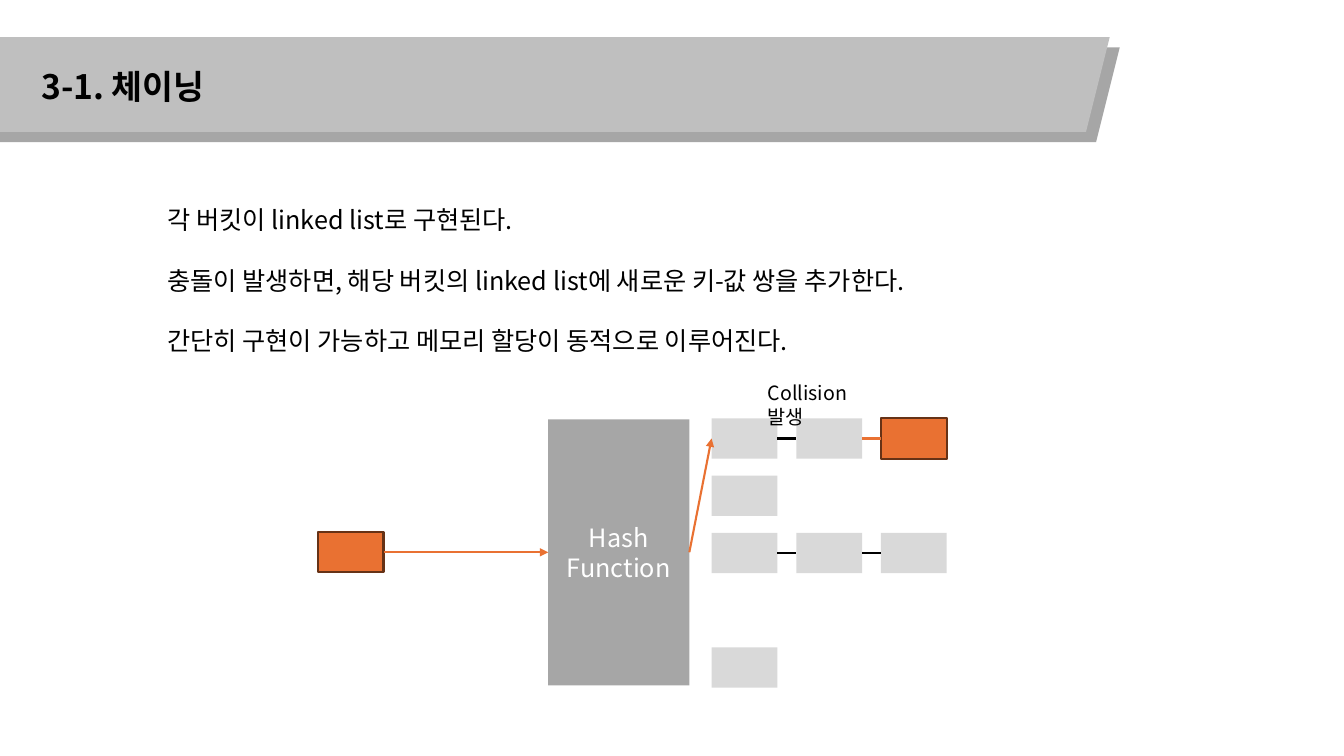
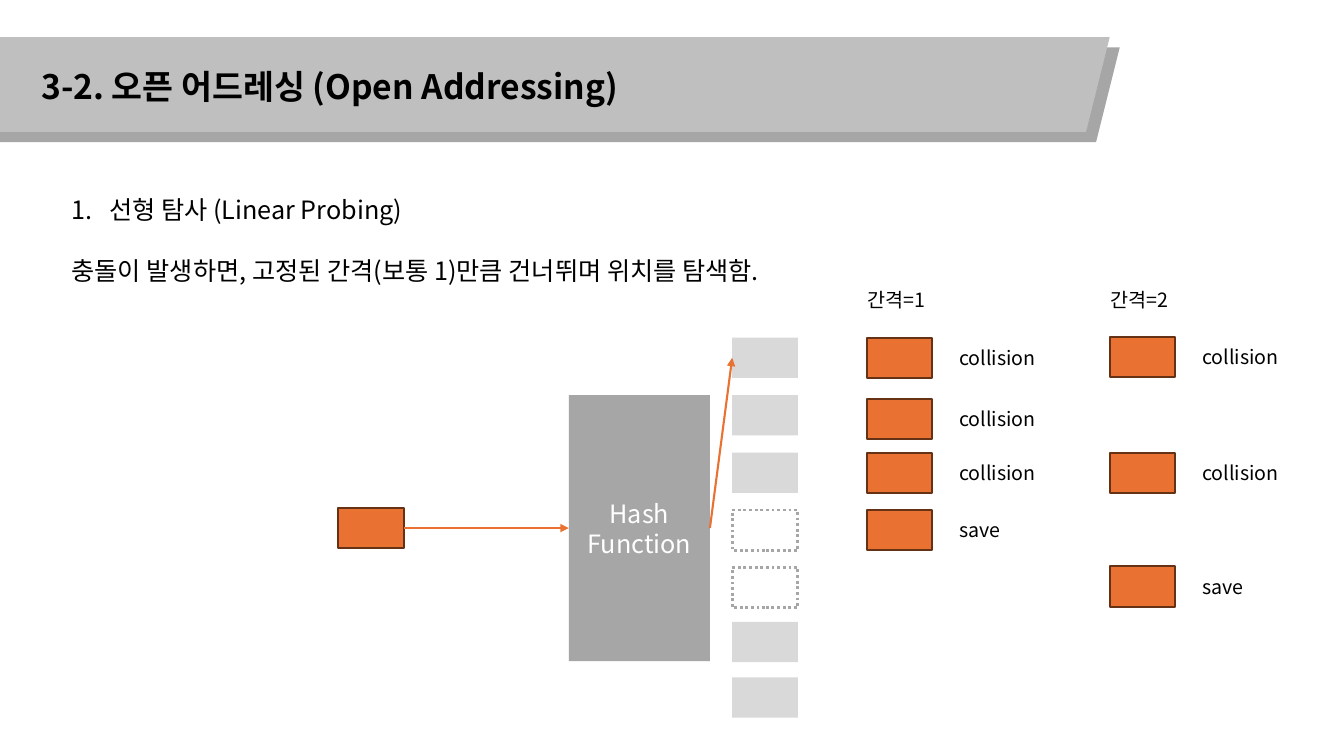
"""Build two slides that explain chaining and open addressing in hash tables."""
from lxml.etree import SubElement
from pptx import Presentation
from pptx.dml.color import RGBColor
from pptx.enum.dml import MSO_LINE
from pptx.enum.shapes import MSO_CONNECTOR, MSO_SHAPE
from pptx.enum.text import MSO_ANCHOR, MSO_AUTO_SIZE, PP_ALIGN
from pptx.oxml.ns import qn
from pptx.util import Pt

FONT = "Noto Sans CJK KR"
BLACK, WHITE = "000000", "FFFFFF"
GRAY, BAND, BUCKET = "A6A6A6", "BFBFBF", "D9D9D9"
ORANGE, BROWN = "E97132", "663216"

BANDS = [(GRAY, (-25.9, 33.8, 825.8, 67.7)), (BAND, (-23.8, 26.6, 816.5, 67.7))]
TITLE_BOX = (22.3, 43.2, 720, 36)
CELL_WIDTH, CELL_HEIGHT = 47, 28.8
ROW_PITCH, CHAIN_PITCH = 40.9, 60.5
HASH_WIDTH, HASH_HEIGHT = 100.8, 190
HASH_MIDDLE, KEY_OFFSET, BUCKET_OFFSET = 95, 164.6, 116.7

CHAINING = {
    "title": "3-1. 체이닝",
    "body_box": (112.3, 142.6, 640, 117),
    "body": [
        ("각 버킷이 linked list로 구현된다.", False),
        ("충돌이 발생하면, 해당 버킷의 linked list에 새로운 키-값 쌍을 추가한다.", False),
        ("간단히 구현이 가능하고 메모리 할당이 동적으로 이루어진다.", False),
    ],
    "hash_at": (391.6, 299.5),
    "top": 298.8,
    "chains": {0: [BUCKET, BUCKET, ORANGE], 1: [BUCKET], 2: [BUCKET] * 3, 4: [BUCKET]},
    "note": ("Collision 발생", (541.4, 268.6, 96, 24.5)),
}
PROBING = {
    "title": "3-2. 오픈 어드레싱 (Open Addressing)",
    "body_box": (43.9, 135.4, 640, 94),
    "body": [
        ("선형 탐사 (Linear Probing)", True),
        ("충돌이 발생하면, 고정된 간격(보통 1)만큼 건너뛰며 위치를 탐색함.", False),
    ],
    "hash_at": (406.3, 282.2),
    "buckets": [(241.2, True), (282.2, True), (323.3, True), (364.3, False),
                (405.4, False), (444.2, True), (483.8, True)],
    "probes": [
        ("간격=1", 619, [(241.2, "collision"), (285.1, "collision"),
                        (323.3, "collision"), (364.3, "save")]),
        ("간격=2", 792.6, [(240.5, "collision"), (323.3, "collision"), (404.6, "save")]),
    ],
}


def color(value):
    return RGBColor.from_string(value)


def place(shape, box):
    shape.left, shape.top, shape.width, shape.height = map(Pt, box)


def write(paragraph, text, size=18, ink=BLACK, bold=False, align=PP_ALIGN.LEFT, before=0):
    run = paragraph.add_run()
    run.text = text
    run.font.size, run.font.bold, run.font.name = Pt(size), bold, FONT
    run.font.color.rgb = color(ink)
    SubElement(run.font._element, qn("a:ea"), typeface=FONT)
    paragraph.alignment = align
    paragraph.space_before = Pt(before)


def add_shape(slide, box, fill=None, line=None, width=1.5, dash=None, kind=MSO_SHAPE.RECTANGLE):
    shape = slide.shapes.add_shape(kind, *map(Pt, box))
    shape.shadow.inherit = False
    if fill:
        shape.fill.solid()
        shape.fill.fore_color.rgb = color(fill)
    else:
        shape.fill.background()
    if line:
        shape.line.color.rgb = color(line)
        shape.line.width = Pt(width)
        if dash:
            shape.line.dash_style = dash
    else:
        shape.line.fill.background()
    return shape


def add_cell(slide, left, top, fill):
    border = BROWN if fill == ORANGE else None
    add_shape(slide, (left, top, CELL_WIDTH, CELL_HEIGHT), fill, border)


def add_line(slide, start, end, ink, arrow=False):
    line = slide.shapes.add_connector(MSO_CONNECTOR.STRAIGHT, *map(Pt, start + end))
    line.line.color.rgb = color(ink)
    line.line.width = Pt(1.5)
    if arrow:
        SubElement(line.line._get_or_add_ln(), qn("a:tailEnd"), type="triangle")
    SubElement(line._element.spPr, qn("a:effectLst"))


def add_label(slide, text, box):
    frame = slide.shapes.add_textbox(*map(Pt, box)).text_frame
    frame.word_wrap = True
    write(frame.paragraphs[0], text, size=14)


def set_marker(paragraph, numbered):
    properties = paragraph._p.get_or_add_pPr()
    indent = Pt(27) if numbered else 0
    properties.set("marL", str(indent))
    properties.set("indent", str(-indent))
    if numbered:
        SubElement(properties, qn("a:buFont"), typeface=FONT)
        SubElement(properties, qn("a:buAutoNum"), type="arabicPeriod")
    else:
        SubElement(properties, qn("a:buNone"))


def add_slide(presentation, layout, content):
    slide = presentation.slides.add_slide(layout)
    title, body = slide.placeholders
    write(title.text_frame.paragraphs[0], content["title"], size=24, bold=True)
    place(body, content["body_box"])
    frame = body.text_frame
    frame.auto_size = MSO_AUTO_SIZE.NONE
    for index, (text, numbered) in enumerate(content["body"]):
        paragraph = frame.add_paragraph() if index else frame.paragraphs[0]
        write(paragraph, text, before=21.6 if index else 0)
        set_marker(paragraph, numbered)
    return slide


def style_layout(layout, slide):
    title = layout.placeholders[0]
    place(title, TITLE_BOX)
    title.text_frame.auto_size = MSO_AUTO_SIZE.NONE
    title.text_frame.vertical_anchor = MSO_ANCHOR.MIDDLE
    for fill, box in BANDS:
        band = add_shape(slide, box, fill, kind=MSO_SHAPE.PARALLELOGRAM)
        title._element.addprevious(band._element)


def add_hash_flow(slide, hash_at, bucket_top):
    left, top = hash_at
    middle = top + HASH_MIDDLE
    key_left = left - KEY_OFFSET
    box = add_shape(slide, (left, top, HASH_WIDTH, HASH_HEIGHT), GRAY)
    box.text_frame.vertical_anchor = MSO_ANCHOR.MIDDLE
    write(box.text_frame.paragraphs[0], "Hash Function", ink=WHITE, align=PP_ALIGN.CENTER)
    add_cell(slide, key_left, middle - CELL_HEIGHT / 2, ORANGE)
    add_line(slide, (key_left + CELL_WIDTH, middle), (left, middle), ORANGE, arrow=True)
    target = (left + BUCKET_OFFSET, bucket_top + CELL_HEIGHT / 2)
    add_line(slide, (left + HASH_WIDTH, middle), target, ORANGE, arrow=True)


def draw_chaining(slide, content):
    first_left = content["hash_at"][0] + BUCKET_OFFSET
    for row, chain in content["chains"].items():
        top = content["top"] + row * ROW_PITCH
        middle = top + CELL_HEIGHT / 2
        for position, fill in enumerate(chain):
            left = first_left + position * CHAIN_PITCH
            add_cell(slide, left, top, fill)
            if position:
                start = (left - CHAIN_PITCH + CELL_WIDTH, middle)
                add_line(slide, start, (left, middle), ORANGE if fill == ORANGE else BLACK)
    add_label(slide, *content["note"])
    add_hash_flow(slide, content["hash_at"], content["top"])


def draw_probing(slide, content):
    left = content["hash_at"][0] + BUCKET_OFFSET
    for top, occupied in content["buckets"]:
        if occupied:
            add_cell(slide, left, top, BUCKET)
        else:
            add_shape(slide, (left, top, CELL_WIDTH, CELL_HEIGHT), line=GRAY, width=2,
                      dash=MSO_LINE.ROUND_DOT)
    for heading, probe_left, probes in content["probes"]:
        add_label(slide, heading, (probe_left - 6.5, 202.3, 72.7, 24.5))
        for top, result in probes:
            add_cell(slide, probe_left, top, ORANGE)
            add_label(slide, result, (probe_left + 59.2, top + 2.3, 72.7, 24.5))
    add_hash_flow(slide, content["hash_at"], content["buckets"][0][0])


def main():
    presentation = Presentation()
    presentation.slide_width, presentation.slide_height = Pt(960), Pt(540)
    layout = presentation.slide_layouts[1]
    chaining = add_slide(presentation, layout, CHAINING)
    style_layout(layout, chaining)
    draw_chaining(chaining, CHAINING)
    draw_probing(add_slide(presentation, layout, PROBING), PROBING)
    presentation.save("out.pptx")


if __name__ == "__main__":
    main()
